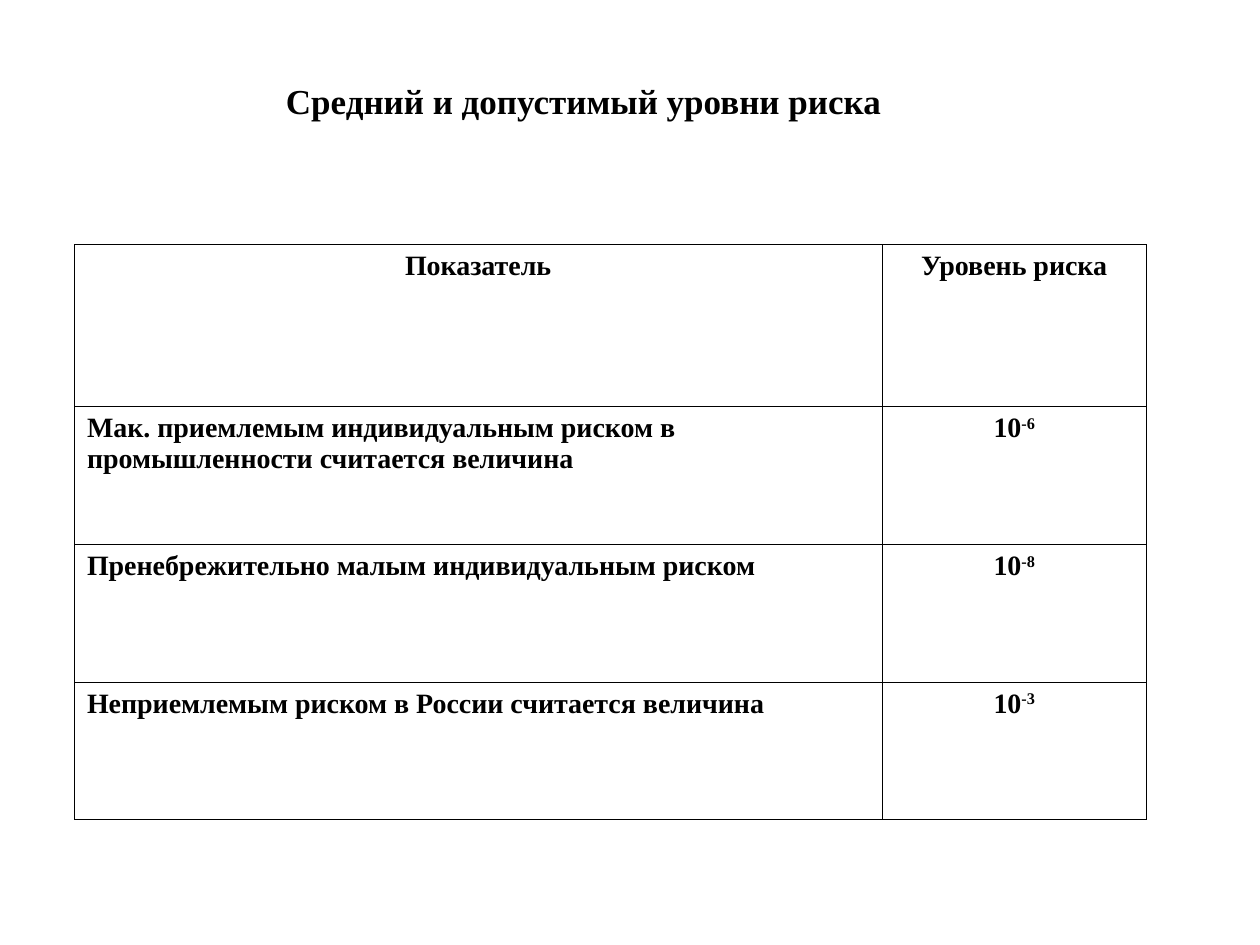
from dataclasses import dataclass

from lxml import etree
from pptx import Presentation
from pptx import util as u
from pptx.dml.color import RGBColor
from pptx.enum import text
from pptx.oxml import ns

COLORS = {"text": "000000", "border": "000000"}
FONT_NAME = "Times New Roman"
BORDER_WIDTH = u.Pt(0.45)
COLUMN_WIDTHS = [u.Cm(16.28), u.Cm(5.33)]
HEADER_HEIGHT = u.Cm(3.26)
ROW_HEIGHT = u.Cm(2.78)


@dataclass
class RiskLevel:
    indicator: str
    exponent: str


HEADERS = ["Показатель", "Уровень риска"]
RISK_LEVELS = [
    RiskLevel("Мак. приемлемым индивидуальным риском в промышленности считается величина", "-6"),
    RiskLevel("Пренебрежительно малым индивидуальным риском", "-8"),
    RiskLevel("Неприемлемым риском в России считается величина", "-3"),
]


def format_paragraph(paragraph, size: int, alignment) -> None:
    paragraph.alignment = alignment
    for run in paragraph.runs:
        run.font.name = FONT_NAME
        run.font.size = u.Pt(size)
        run.font.bold = True
        run.font.color.rgb = RGBColor.from_string(COLORS["text"])


def add_borders(cell) -> None:
    properties = cell._tc.get_or_add_tcPr()
    for side in ("a:lnL", "a:lnR", "a:lnT", "a:lnB"):
        line = etree.SubElement(properties, ns.qn(side), w=str(BORDER_WIDTH))
        fill = etree.SubElement(line, ns.qn("a:solidFill"))
        etree.SubElement(fill, ns.qn("a:srgbClr"), val=COLORS["border"])


def fill_cell(cell, content: str, alignment, exponent: str = "") -> None:
    add_borders(cell)
    cell.fill.background()
    paragraph = cell.text_frame.paragraphs[0]
    paragraph.text = content
    if exponent:
        run = paragraph.add_run()
        run.text = exponent
        run._r.get_or_add_rPr().set("baseline", "30000")
    format_paragraph(paragraph, 16, alignment)


def add_title(slide) -> None:
    title = slide.shapes.title
    title.left, title.top = u.Cm(5.51), u.Cm(1.47)
    title.width, title.height = u.Cm(12.75), u.Cm(1.12)
    frame = title.text_frame
    frame.text = "Средний и допустимый уровни риска"
    frame.word_wrap = False
    frame.auto_size = text.MSO_AUTO_SIZE.SHAPE_TO_FIT_TEXT
    frame.vertical_anchor = text.MSO_ANCHOR.MIDDLE
    format_paragraph(frame.paragraphs[0], 20, text.PP_ALIGN.LEFT)


def add_risk_table(slide) -> None:
    row_heights = [HEADER_HEIGHT] + [ROW_HEIGHT] * len(RISK_LEVELS)
    table = slide.shapes.add_table(
        len(row_heights), len(COLUMN_WIDTHS), u.Cm(1.5), u.Cm(4.93),
        sum(COLUMN_WIDTHS), sum(row_heights),
    ).table
    table.first_row = False
    table.horz_banding = False
    for column, width in zip(table.columns, COLUMN_WIDTHS):
        column.width = width
    for row, height in zip(table.rows, row_heights):
        row.height = height
    for index, header in enumerate(HEADERS):
        fill_cell(table.cell(0, index), header, text.PP_ALIGN.CENTER)
    for index, level in enumerate(RISK_LEVELS, start=1):
        fill_cell(table.cell(index, 0), level.indicator, text.PP_ALIGN.LEFT)
        fill_cell(table.cell(index, 1), "10", text.PP_ALIGN.CENTER, level.exponent)


def main() -> None:
    presentation = Presentation()
    presentation.slide_width = u.Cm(25.4)
    presentation.slide_height = u.Cm(19.05)
    slide = presentation.slides.add_slide(presentation.slide_layouts[5])
    add_title(slide)
    add_risk_table(slide)
    presentation.save("out.pptx")


if __name__ == "__main__":
    main()
